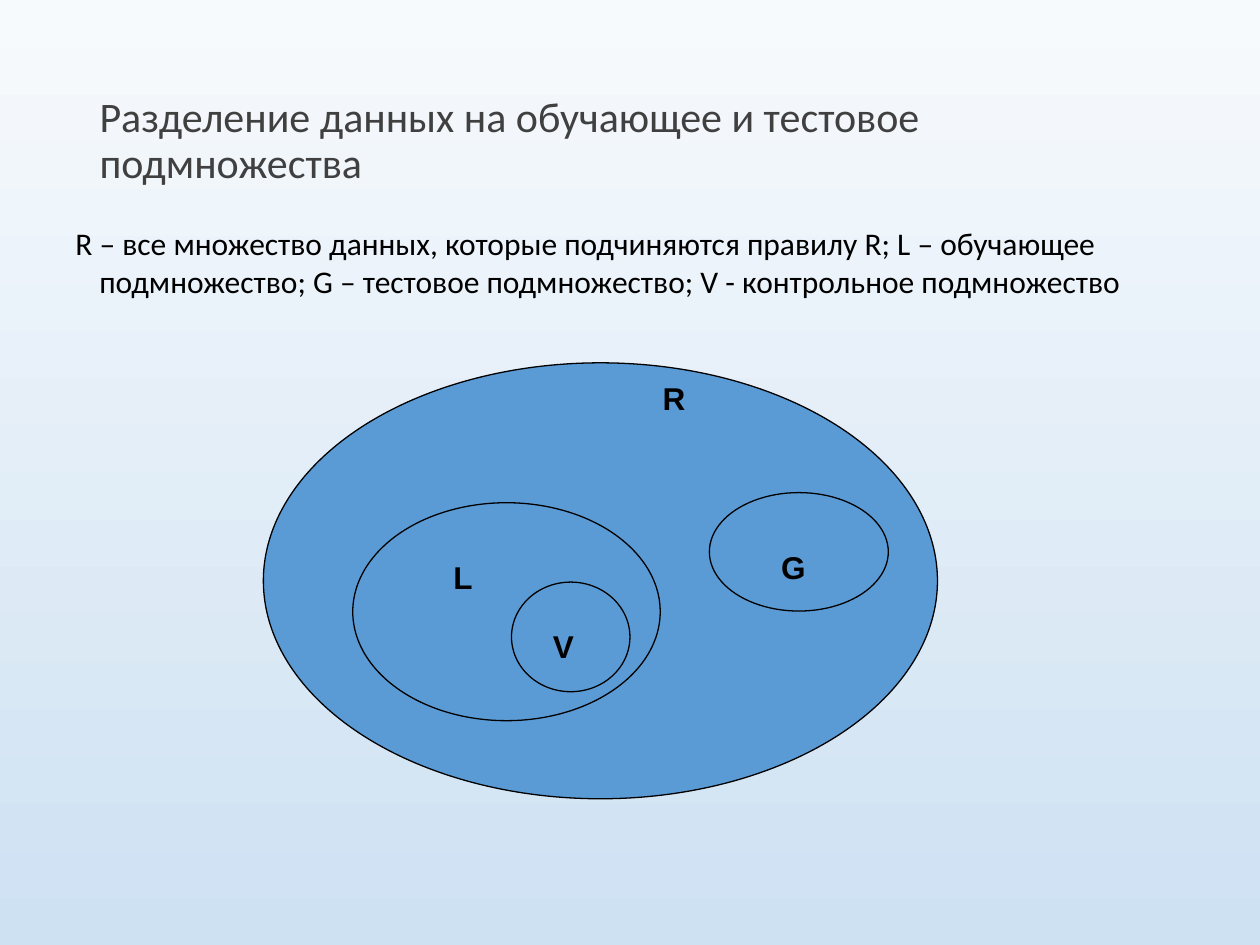
import pptx
import pptx.dml.color
import pptx.enum.shapes
import pptx.enum.text
import pptx.util
from pptx.util import Inches

COLORS = {
    "sky_top": "F7FAFD",
    "sky_bottom": "CEE1F2",
    "title": "404040",
    "ink": "000000",
    "set": "5B9BD5",
}

# Offsets within the diagram: name, ellipse (left, top, width, height),
# label (left, top, width)
SETS = [
    ("R", (0, 0, 5.35, 3.46), (3.07, 0.08, 0.71)),
    ("L", (0.71, 1.11, 2.44, 1.73), (1.41, 1.5, 0.79)),
    ("G", (3.54, 1.03, 1.42, 0.94), (4.01, 1.42, 0.55)),
    ("V", (1.97, 1.74, 0.94, 0.87), (2.2, 2.05, 0.55)),
]


def rgb(name):
    return pptx.dml.color.RGBColor.from_string(COLORS[name])


def set_font(para, face, size, color, bold=False):
    para.font.name = face
    para.font.size = pptx.util.Pt(size)
    para.font.bold = bold
    para.font.color.rgb = rgb(color)


def paint_background(page):
    fill = page.background.fill
    fill.gradient()
    fill.gradient_angle = 270
    for stop, color in zip(fill.gradient_stops, ("sky_top", "sky_bottom")):
        stop.color.rgb = rgb(color)


def place_title(page, left, top, width, height):
    title = page.shapes.title
    title.left, title.top, title.width, title.height = left, top, width, height
    frame = title.text_frame
    frame.text = "Разделение данных на обучающее и тестовое подмножества"
    frame.word_wrap = True
    frame.auto_size = pptx.enum.text.MSO_AUTO_SIZE.NONE
    frame.vertical_anchor = pptx.enum.text.MSO_ANCHOR.MIDDLE
    para = frame.paragraphs[0]
    para.alignment = pptx.enum.text.PP_ALIGN.LEFT
    para.line_spacing = 0.9
    set_font(para, "Calibri", 24, "title")


def add_text(page, text, left, top, width, height):
    """Add a wrapping text box and return its frame."""
    frame = page.shapes.add_textbox(left, top, width, height).text_frame
    frame.word_wrap = True
    frame.text = text
    return frame


def add_legend(page, left, top, width, height):
    frame = add_text(
        page,
        "R – все множество данных, которые подчиняются правилу R; "
        "L – обучающее подмножество; G – тестовое подмножество; "
        "V - контрольное подмножество",
        left, top, width, height,
    )
    frame.margin_top = Inches(0.02)
    para = frame.paragraphs[0]
    properties = para._p.get_or_add_pPr()
    properties.set("marL", str(Inches(0.19)))
    properties.set("indent", str(Inches(-0.19)))
    para.line_spacing = pptx.util.Pt(22)
    set_font(para, "Calibri", 18, "ink")


def add_set_diagram(page, left, top):
    """Draw the nested sets, each ellipse followed by its label."""
    for name, (x, y, width, height), (label_x, label_y, label_width) in SETS:
        ellipse = page.shapes.add_shape(
            pptx.enum.shapes.MSO_SHAPE.OVAL,
            left + Inches(x), top + Inches(y), Inches(width), Inches(height),
        )
        ellipse.shadow.inherit = False
        ellipse.fill.solid()
        ellipse.fill.fore_color.rgb = rgb("set")
        ellipse.line.color.rgb = rgb("ink")
        ellipse.line.width = pptx.util.Pt(0.75)

        label = add_text(
            page, name, left + Inches(label_x), top + Inches(label_y),
            Inches(label_width), Inches(0.4),
        )
        set_font(label.paragraphs[0], "Arial", 18, "ink", bold=True)


def main():
    deck = pptx.Presentation()
    deck.slide_width, deck.slide_height = Inches(10), Inches(7.5)
    page = deck.slides.add_slide(deck.slide_layouts.get_by_name("Title Only"))
    paint_background(page)
    place_title(page, Inches(0.69), Inches(0.4), Inches(8.63), Inches(1.45))
    add_legend(page, Inches(0.5), Inches(1.75), Inches(9), Inches(5.54))
    add_set_diagram(page, Inches(2.09), Inches(2.88))
    deck.save("out.pptx")


if __name__ == "__main__":
    main()
